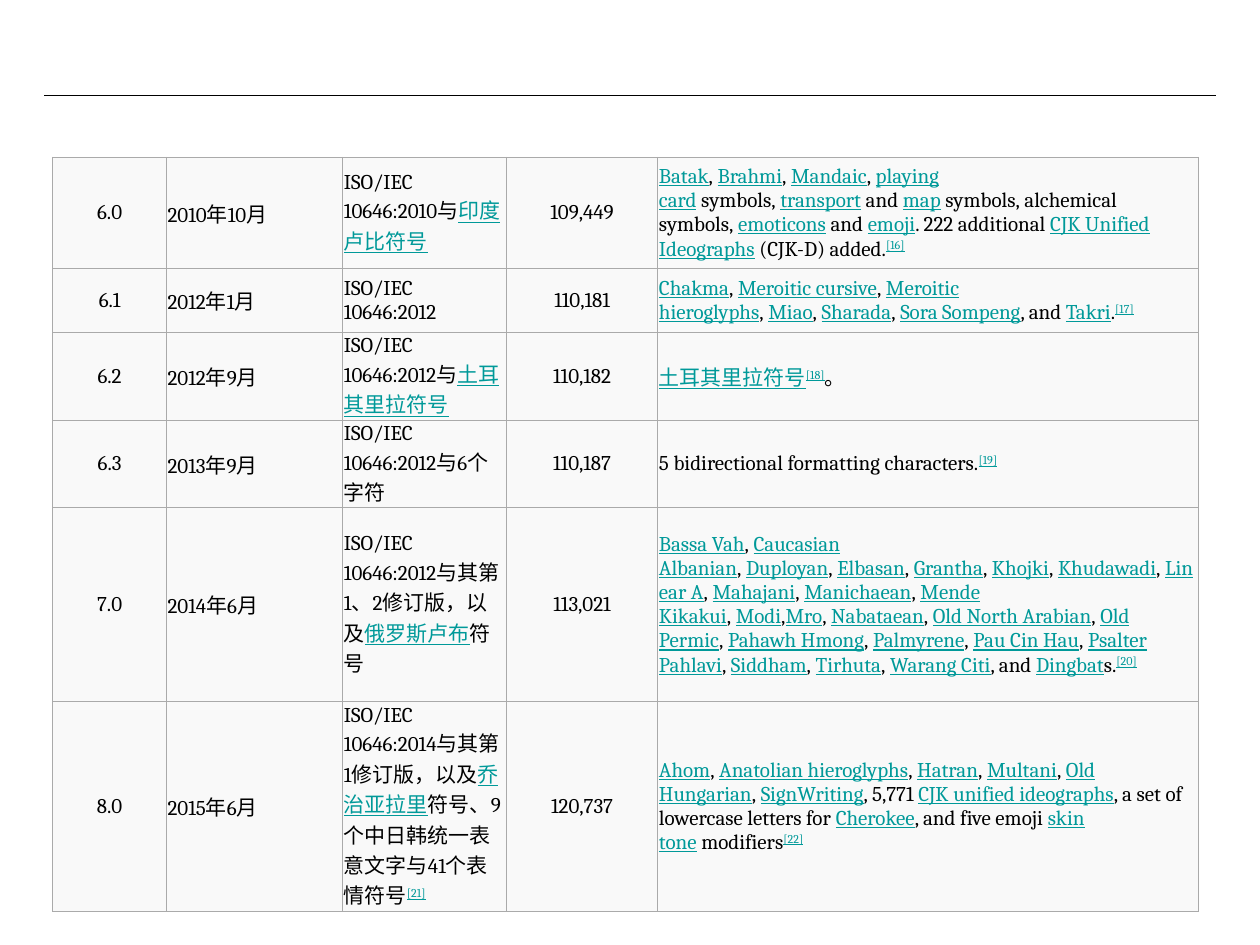
from lxml import etree
from pptx import Presentation
from pptx import util as u
from pptx.dml.color import RGBColor
from pptx.enum import shapes, text
from pptx.oxml.ns import qn

INK, LINK, FILL, EDGE = "000000", "009999", "F9F9F9", "AAAAAA"
COLS = [0.9, 1.4, 1.3, 1.2, 4.29]
HIGHS = [0.88, 0.51, 0.22, 0.3, 1.54, 0.96]
ROWS = [
    ("6.0", "2010年10月", "ISO/IEC 10646:2010与|印度卢比符号|", "109,449",
     "|Batak|,~|Brahmi|,~|Mandaic|,~|playing card|~symbols,~|transport|~and~|map|"
     "~symbols,~alchemical symbols,~|emoticons|~and~|emoji|. 222 additional~"
     "|CJK Unified Ideographs|~(CJK-D) added.|[16]|"),
    ("6.1", "2012年1月", "ISO/IEC 10646:2012", "110,181",
     "|Chakma|,~|Meroitic cursive|,~|Meroitic hieroglyphs|,~|Miao|,~|Sharada|,~"
     "|Sora Sompeng|, and~|Takri|.|[17]|"),
    ("6.2", "2012年9月", "ISO/IEC 10646:2012与|土耳其里拉符号|", "110,182",
     "|土耳其里拉符号||[18]|。"),
    ("6.3", "2013年9月", "ISO/IEC 10646:2012与6个字符", "110,187",
     "5 bidirectional formatting characters.|[19]|"),
    ("7.0", "2014年6月", "ISO/IEC 10646:2012与其第1、2修订版,以及|俄罗斯卢布|符号".replace("版,", "版\uff0c"),
     "113,021",
     "|Bassa Vah|,~|Caucasian Albanian|,~|Duployan|,~|Elbasan|,~|Grantha|,~|Khojki|,~"
     "|Khudawadi|,~|Linear A|,~|Mahajani|,~|Manichaean|,~|Mende Kikakui|,~|Modi|,|Mro|,~"
     "|Nabataean|,~|Old North Arabian|,~|Old Permic|,~|Pahawh Hmong|,~|Palmyrene|,~"
     "|Pau Cin Hau|,~|Psalter Pahlavi|,~|Siddham|,~|Tirhuta|,~|Warang Citi|, and~"
     "|Dingbat|s.|[20]|"),
    ("8.0", "2015年6月",
     "ISO/IEC 10646:2014与其第1修订版\uff0c以及|乔治亚拉里|符号、9个中日韩统一表意文字与41个表情符号|[21]|",
     "120,737",
     "|Ahom|,~|Anatolian hieroglyphs|,~|Hatran|,~|Multani|,~|Old Hungarian|,~|SignWriting|"
     ", 5,771~|CJK unified ideographs|, a set of lowercase letters for~|Cherokee|"
     ", and five emoji~|skin tone|~modifiers|[22]|"),
]


def paint(form, code):
    if hasattr(form, "solid"):
        form.solid()
        form = form.fore_color
    form.rgb = RGBColor.from_string(code)


def write(para, words):
    for i, part in enumerate(words.replace("~", "\u00a0").split("|")):
        if not part:
            continue
        run = para.add_run()
        run.text = part
        run.font.name = "Cambria"
        run.font.size = u.Pt(12)
        paint(run.font.color, LINK if i % 2 else INK)
        if i % 2:
            run.font.underline = True
        if part.startswith("["):
            run.font._element.set("baseline", "30000")


def border(cell):
    props = cell._tc.get_or_add_tcPr()
    for i, side in enumerate("LRTB"):
        edge = etree.Element(qn("a:ln" + side), w=str(u.Pt(0.75)))
        fill = etree.SubElement(edge, qn("a:solidFill"))
        etree.SubElement(fill, qn("a:srgbClr"), val=EDGE)
        props.insert(i, edge)


def rule(slide, left, top, width):
    line = slide.shapes.add_connector(
        shapes.MSO_CONNECTOR.STRAIGHT, u.Inches(left), u.Inches(top),
        u.Inches(left + width), u.Inches(top))
    line.line.width = u.Pt(0.75)
    paint(line.line.fill, INK)
    etree.SubElement(line._element.spPr, qn("a:effectLst"))


def grid(slide, left, top, width, height):
    frame = slide.shapes.add_table(
        len(ROWS), len(COLS), u.Inches(left), u.Inches(top),
        u.Inches(width), u.Inches(height))
    table = frame.table
    table.first_row = table.horz_banding = False
    for col, wide in zip(table.columns, COLS):
        col.width = u.Inches(wide)
    for row, high, words in zip(table.rows, HIGHS, ROWS):
        row.height = u.Inches(high)
        for i, cell in enumerate(row.cells):
            paint(cell.fill, FILL)
            border(cell)
            cell.vertical_anchor = text.MSO_ANCHOR.MIDDLE
            cell.margin_left = cell.margin_right = u.Inches(0.01)
            cell.margin_top = cell.margin_bottom = u.Inches(0.01)
            para = cell.text_frame.paragraphs[0]
            if i in (0, 3):
                para.alignment = text.PP_ALIGN.CENTER
            write(para, words[i])
    frame.height = u.Inches(height)


deck = Presentation()
deck.slide_width, deck.slide_height = u.Inches(10), u.Inches(7.5)
page = deck.slides.add_slide(deck.slide_layouts[6])
rule(page, 0.35, 0.76, 9.3)
grid(page, 0.42, 1.25, 9.08, 5.56)
deck.save("out.pptx")
